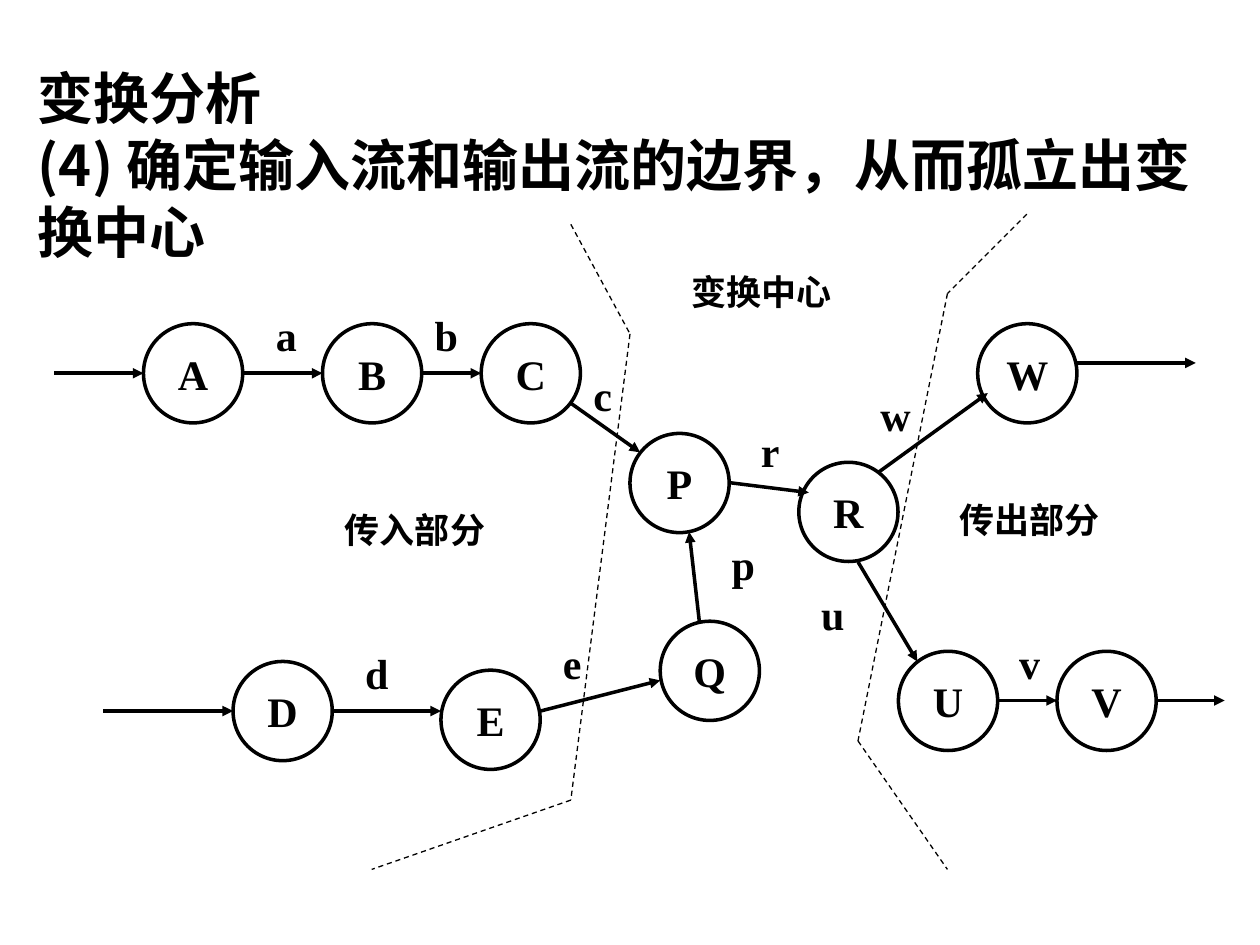
import itertools

import pptx
import pptx.dml.color
import pptx.enum.dml
import pptx.enum.shapes
import pptx.enum.text
import pptx.oxml
import pptx.oxml.ns
import pptx.util

Pt = pptx.util.Pt
LATIN = "Times New Roman"
CHINESE = "Noto Sans CJK SC"
BLACK = "000000"
CIRCLE = 56.7

PROCESSES = {
    "A": (52, 65), "B": (154.3, 65), "C": (245, 65), "P": (330, 127.7),
    "W": (528.7, 65), "U": (483.4, 252.2), "D": (103.2, 258),
    "E": (222, 263), "Q": (347.3, 235), "V": (574, 252.2), "R": (426.5, 144.2),
}
FLOWS = [
    ((1, 93.3), (52, 93.3)),
    ((108.7, 93.3), (154.3, 93.3)),
    ((211, 93.3), (245, 93.3)),
    ((296.2, 110.4), (335.8, 138.5)),
    ((29, 286.3), (103.2, 286.3)),
    ((160, 286.3), (222, 286.3)),
    ((278.9, 286.3), (347.3, 268.8)),
    ((369.6, 235), (363.8, 184)),
    ((386.7, 155.8), (432.2, 161.5)),
    ((471.8, 150), (534.5, 104.6)),
    ((585, 87.4), (653.3, 87.4)),
    ((460.3, 201.1), (494.2, 258)),
    ((539.6, 280.3), (574, 280.3)),
    ((630.3, 280.3), (669.8, 280.3)),
]
FLOW_NAMES = {
    "a": (120.5, 53.5), "r": (397.7, 119.8), "c": (302, 87.4),
    "u": (432.2, 212.6), "w": (466, 98.9), "d": (171.6, 246.5),
    "e": (284.6, 240.7), "p": (381, 184), "v": (545.3, 240.7),
    "b": (211.2, 53.5),
}
INPUT_BOUNDARY = [(296.2, 8.2), (330, 70.8), (296.2, 337.2), (182.4, 376.8)]
OUTPUT_BOUNDARY = [(556.8, 2.4), (511.4, 47.8), (460.3, 303.4), (511.4, 376.8)]
SECTIONS = {
    "变换中心": (358, 31.2),
    "传出部分": (511.4, 161.5),
    "传入部分": (160, 167.3),
}


def color(value):
    return pptx.dml.color.RGBColor.from_string(value)


def set_font(font, size, latin=LATIN):
    font.size = Pt(size)
    font.bold = True
    font.name = latin
    font.color.rgb = color(BLACK)


def set_chinese_font(run):
    east_asian = pptx.oxml.parse_xml(
        f'<a:ea {pptx.oxml.ns.nsdecls("a")} typeface="{CHINESE}"/>')
    properties = run.font._element
    latin = properties.find(pptx.oxml.ns.qn("a:latin"))
    if latin is None:
        properties.append(east_asian)
    else:
        latin.addnext(east_asian)


def add_title(slide, left, top, width, height):
    title = slide.shapes.title
    title.left, title.top = Pt(left), Pt(top)
    title.width, title.height = Pt(width), Pt(height)
    frame = title.text_frame
    frame.word_wrap = True
    frame.auto_size = pptx.enum.text.MSO_AUTO_SIZE.NONE
    frame.vertical_anchor = pptx.enum.text.MSO_ANCHOR.MIDDLE
    frame.margin_bottom = Pt(42)
    paragraph = frame.paragraphs[0]
    paragraph.alignment = pptx.enum.text.PP_ALIGN.LEFT
    topic = paragraph.add_run()
    topic.text = "变换分析"
    paragraph.add_line_break()
    step = paragraph.add_run()
    step.text = "(4) 确定输入流和输出流的边界，从而孤立出变换中心"
    for run, latin in ((topic, LATIN), (step, CHINESE)):
        set_font(run.font, 32, latin)
        set_chinese_font(run)


def add_process(slide, name, left, top):
    circle = slide.shapes.add_shape(
        pptx.enum.shapes.MSO_SHAPE.OVAL, Pt(left), Pt(top), Pt(CIRCLE), Pt(CIRCLE))
    circle.shadow.inherit = False
    circle.fill.background()
    circle.line.color.rgb = color(BLACK)
    circle.line.width = Pt(2)
    frame = circle.text_frame
    frame.word_wrap = False
    frame.vertical_anchor = pptx.enum.text.MSO_ANCHOR.MIDDLE
    paragraph = frame.paragraphs[0]
    paragraph.text = name
    paragraph.alignment = pptx.enum.text.PP_ALIGN.CENTER
    set_font(paragraph.font, 24)


def add_line(slide, left, top, start, end, weight):
    line = slide.shapes.add_connector(
        pptx.enum.shapes.MSO_CONNECTOR.STRAIGHT,
        Pt(left + start[0]), Pt(top + start[1]), Pt(left + end[0]), Pt(top + end[1]))
    line.line.color.rgb = color(BLACK)
    line.line.width = Pt(weight)
    line._element.spPr.append(
        pptx.oxml.parse_xml(f'<a:effectLst {pptx.oxml.ns.nsdecls("a")}/>'))
    return line


def add_flow(slide, left, top, start, end):
    flow = add_line(slide, left, top, start, end, 2)
    flow.line._get_or_add_ln().append(pptx.oxml.parse_xml(
        f'<a:tailEnd {pptx.oxml.ns.nsdecls("a")} type="triangle"/>'))


def add_boundary(slide, left, top, corners):
    for start, end in itertools.pairwise(corners):
        edge = add_line(slide, left, top, start, end, 0.75)
        edge.line.dash_style = pptx.enum.dml.MSO_LINE.DASH


def add_label(slide, text, left, top, width, height, size):
    label = slide.shapes.add_textbox(Pt(left), Pt(top), Pt(width), Pt(height))
    label.text_frame.word_wrap = True
    paragraph = label.text_frame.paragraphs[0]
    paragraph.text = text
    set_font(paragraph.font, size)
    if not text.isascii():
        set_chinese_font(paragraph.runs[0])


def add_flow_diagram(slide, left, top):
    for name, (x, y) in PROCESSES.items():
        add_process(slide, name, left + x, top + y)
    for start, end in FLOWS:
        add_flow(slide, left, top, start, end)
    for name, (x, y) in FLOW_NAMES.items():
        add_label(slide, name, left + x, top + y, 39.7, 36, 24)
    for corners in (INPUT_BOUNDARY, OUTPUT_BOUNDARY):
        add_boundary(slide, left, top, corners)
    for name, (x, y) in SECTIONS.items():
        add_label(slide, name, left + x, top + y, 118.8, 31.7, 20)


def main():
    presentation = pptx.Presentation()
    presentation.slide_width, presentation.slide_height = Pt(720), Pt(540)
    slide = presentation.slides.add_slide(presentation.slide_layouts[5])
    add_title(slide, 14.4, 18, 689, 190)
    add_flow_diagram(slide, 30, 120)
    presentation.save("out.pptx")


if __name__ == "__main__":
    main()
